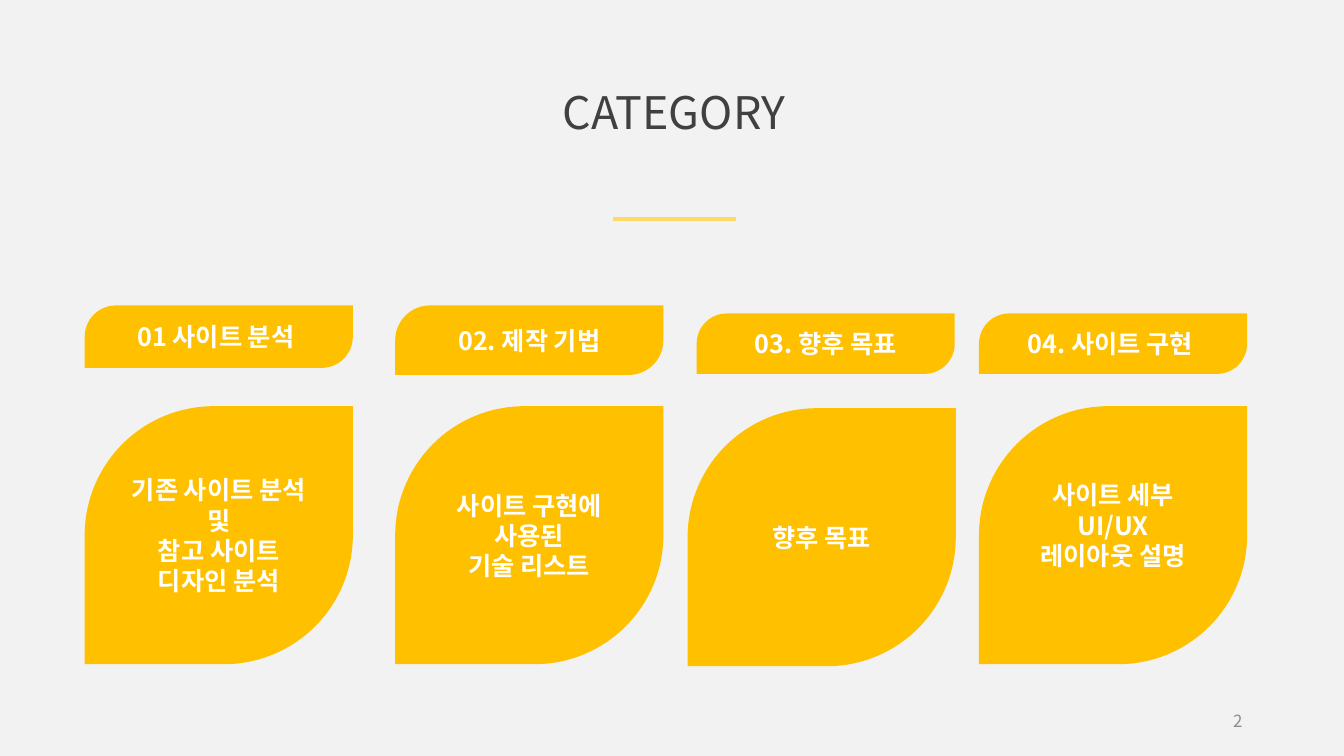
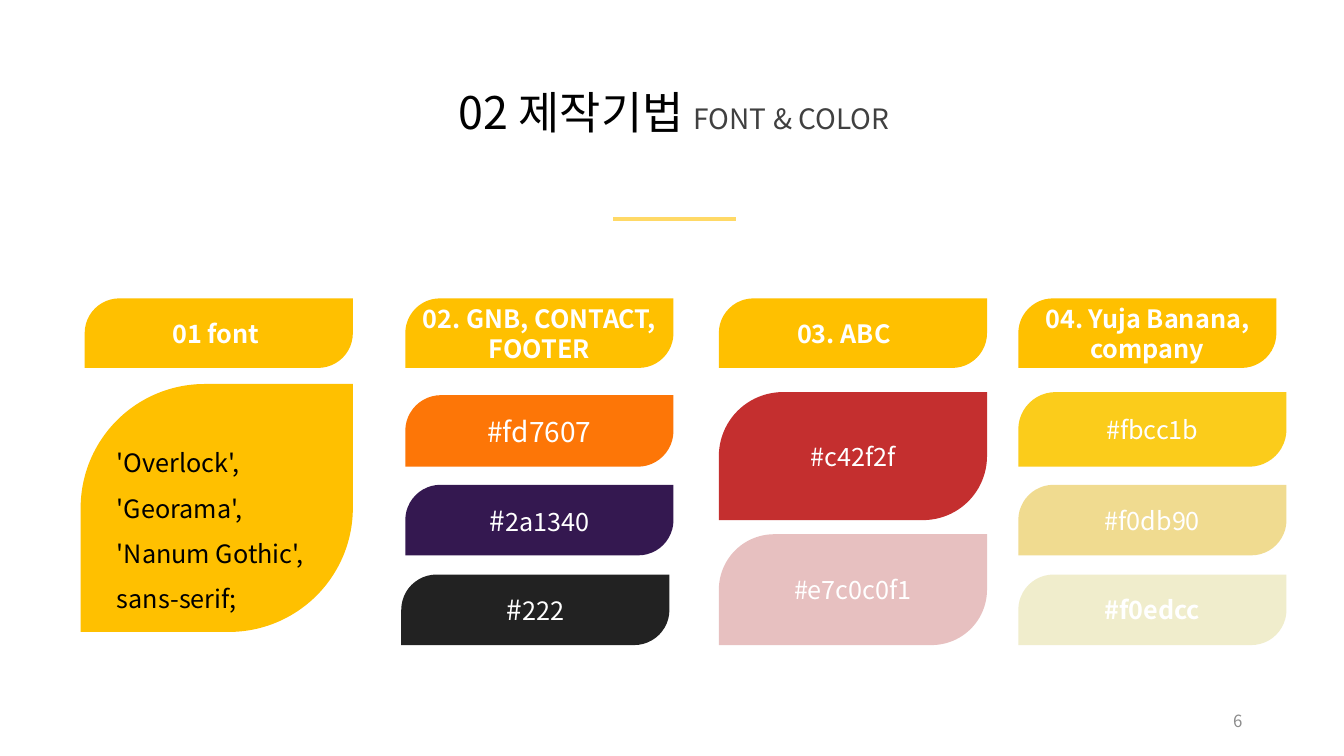
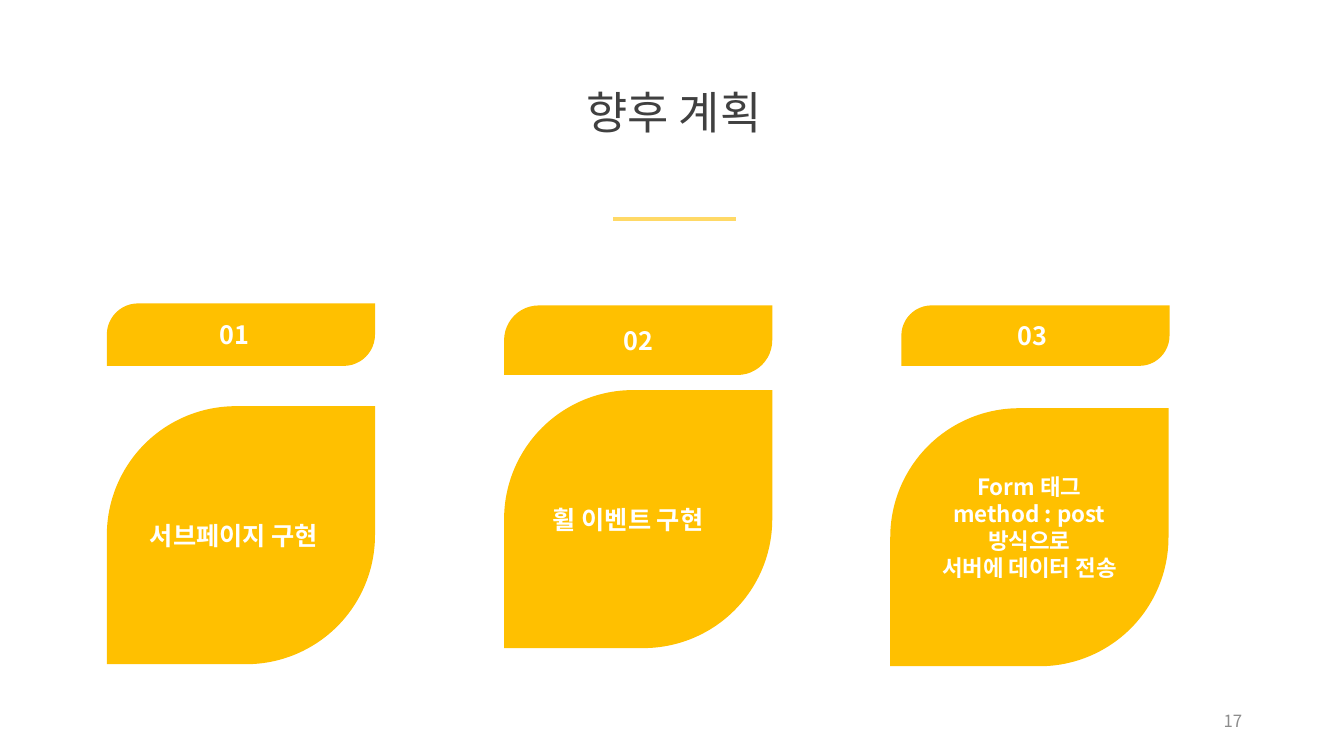
"""Builds three slides of a web project deck with leaf-shaped cards."""
import pptx
import pptx.dml.color
import pptx.enum.shapes
import pptx.enum.text
import pptx.oxml
import pptx.oxml.ns
import pptx.util

Inches = pptx.util.Inches
Align = pptx.enum.text.PP_ALIGN
Anchor = pptx.enum.text.MSO_ANCHOR


class Deck:
    FONT = "Noto Sans CJK KR"
    COLORS = {
        "amber": "FFC000", "rule": "FFD966", "mist": "F2F2F2", "white": "FFFFFF",
        "black": "000000", "ink": "404040", "gray": "8C8C8C",
        "orange": "FD7607", "purple": "341850", "charcoal": "222222",
        "red": "C42F2F", "pink": "E7C0C0",
        "yellow": "FBCC1B", "sand": "F0DB90", "cream": "F0EDCC",
    }

    def __init__(self):
        self.deck = pptx.Presentation()
        self.deck.slide_width = Inches(13.33)
        self.deck.slide_height = Inches(7.5)
        self.slide = None

    def color(self, name):
        return pptx.dml.color.RGBColor.from_string(self.COLORS[name])

    def style(self, run, size, color, bold=False):
        run.font.size = pptx.util.Pt(size)
        run.font.name = self.FONT
        run.font.bold = bold
        run.font.color.rgb = self.color(color)
        east_asian = pptx.oxml.parse_xml(
            f'<a:ea {pptx.oxml.ns.nsdecls("a")} typeface="{self.FONT}"/>')
        latin = run.font._element.find(pptx.oxml.ns.qn("a:latin"))
        latin.addnext(east_asian)

    def set_text(self, frame, text, size, color, bold=False, align=Align.CENTER, spacing=None):
        frame.word_wrap = True
        frame.text = text
        for paragraph in frame.paragraphs:
            paragraph.alignment = align
            if spacing:
                paragraph.line_spacing = spacing
            for run in paragraph.runs:
                self.style(run, size, color, bold)

    def extend(self, frame, text, size, color):
        run = frame.paragraphs[0].add_run()
        run.text = text
        self.style(run, size, color)

    def text(self, box, text, size, color, **options):
        frame = self.slide.shapes.add_textbox(*map(Inches, box)).text_frame
        self.set_text(frame, text, size, color, **options)
        return frame

    def page(self, title, number, background="white", title_color="ink"):
        self.slide = self.deck.slides.add_slide(self.deck.slide_layouts[6])
        fill = self.slide.background.fill
        fill.solid()
        fill.fore_color.rgb = self.color(background)
        heading = self.text((2.74, 0.52, 7.89, 0.8), title, 32, title_color, spacing=1.5)
        heading.auto_size = pptx.enum.text.MSO_AUTO_SIZE.SHAPE_TO_FIT_TEXT
        self.rule(6.08, 7.3, 2.17)
        footer = self.text((9.42, 6.95, 3, 0.4), number, 12, "gray", align=Align.RIGHT)
        footer.vertical_anchor = Anchor.MIDDLE
        return heading

    def rule(self, left, right, y):
        line = self.slide.shapes.add_connector(
            pptx.enum.shapes.MSO_CONNECTOR.STRAIGHT,
            Inches(left), Inches(y), Inches(right), Inches(y))
        line.line.color.rgb = self.color("rule")
        line.line.width = pptx.util.Pt(3)
        line._element.spPr.append(
            pptx.oxml.parse_xml(f'<a:effectLst {pptx.oxml.ns.nsdecls("a")}/>'))

    def leaf(self, box, text, fill="amber", size=18, color="white", bold=True,
             top=0, right=0, bottom=0, **options):
        leaf = self.slide.shapes.add_shape(
            pptx.enum.shapes.MSO_SHAPE.ROUND_2_DIAG_RECTANGLE, *map(Inches, box))
        leaf.adjustments[0] = 0.5
        leaf.adjustments[1] = 0
        leaf.shadow.inherit = False
        leaf.fill.solid()
        leaf.fill.fore_color.rgb = self.color(fill)
        leaf.line.fill.background()
        frame = leaf.text_frame
        frame.margin_left = 0
        frame.margin_top, frame.margin_right, frame.margin_bottom = map(
            Inches, (top, right, bottom))
        frame.vertical_anchor = Anchor.MIDDLE
        self.set_text(frame, text, size, color, bold, **options)
        return frame


def category(deck):
    deck.page("CATEGORY", "2", background="mist")
    headings = [
        ((0.84, 3.03, 2.66, 0.62), "01 사이트 분석", 0.06),
        ((3.92, 3.03, 2.66, 0.69), "02. 제작 기법", 0),
        ((6.91, 3.11, 2.56, 0.6), "03. 향후 목표", 0),
        ((9.71, 3.11, 2.66, 0.6), "04. 사이트 구현", 0.06),
    ]
    for box, text, right in headings:
        deck.leaf(box, text, right=right)
    cards = [
        (0.84, 4.03, "기존 사이트 분석 및\n참고 사이트 디자인 분석", 0),
        (3.92, 4.03, "사이트 구현에 사용된\n기술 리스트", 0),
        (6.82, 4.05, "향후 목표", 0),
        (9.71, 4.03, "사이트 세부 UI/UX\n레이아웃 설명", 0.2),
    ]
    for left, top, text, bottom in cards:
        deck.leaf((left, top, 2.66, 2.56), text, bottom=bottom)


def font_and_color(deck):
    heading = deck.page("02 제작기법 ", "6", title_color="black")
    deck.extend(heading, "FONT & COLOR", 20, "ink")
    headings = [
        (0.84, 2.66, "01 font", 0.06),
        (4.02, 2.66, "02. GNB, CONTACT,\nFOOTER", 0),
        (7.13, 2.66, "03. ABC", 0.18),
        (10.1, 2.56, "04. Yuja Banana,\ncompany", 0),
    ]
    for left, width, text, right in headings:
        deck.leaf((left, 2.96, width, 0.69), text, right=right)
    deck.leaf((0.8, 3.81, 2.7, 2.46),
              "'Overlock',\n'Georama', 'Nanum Gothic', sans-serif;",
              color="black", bold=False, top=0.3, align=Align.LEFT, spacing=1.5)
    swatches = [
        (4.02, 3.92, 0.71, "#fd7607", "orange", 20, False),
        (7.13, 3.89, 1.27, "#c42f2f", "red", 18, False),
        (7.13, 5.3, 1.1, "#e7c0c0f1", "pink", 18, False),
        (10.1, 3.89, 0.74, "#fbcc1b", "yellow", 18, False),
        (10.1, 4.81, 0.7, "#f0db90", "sand", 18, False),
        (10.1, 5.7, 0.7, "#f0edcc", "cream", 18, True),
    ]
    for left, top, height, code, fill, size, bold in swatches:
        deck.leaf((left, top, 2.66, height), code, fill, size, bold=bold)
    for left, top, digits, fill in [(4.02, 4.81, "2a1340", "purple"),
                                    (3.98, 5.7, "222", "charcoal")]:
        code = deck.leaf((left, top, 2.66, 0.7), "#", fill, 20, bold=False)
        deck.extend(code, digits, 18, "white")


def future_plan(deck):
    deck.page("향후 계획", "17")
    headings = [
        (1.06, 3.01, 0.62, "01", 0.12),
        (5, 3.03, 0.69, "02", 0),
        (8.94, 3.03, 0.6, "03", 0.06),
    ]
    for left, top, height, text, right in headings:
        deck.leaf((left, top, 2.66, height), text, right=right)
    deck.leaf((1.06, 4.03, 2.66, 2.56), "서브페이지 구현", right=0.14)
    deck.leaf((5, 3.87, 2.66, 2.56), "휠 이벤트 구현", right=0.2)
    deck.leaf((8.83, 4.05, 2.76, 2.56),
              "Form 태그\nmethod : post\n방식으로\n서버에 데이터 전송", size=16, bottom=0.2)


def main():
    deck = Deck()
    category(deck)
    font_and_color(deck)
    future_plan(deck)
    deck.deck.save("out.pptx")


if __name__ == "__main__":
    main()
